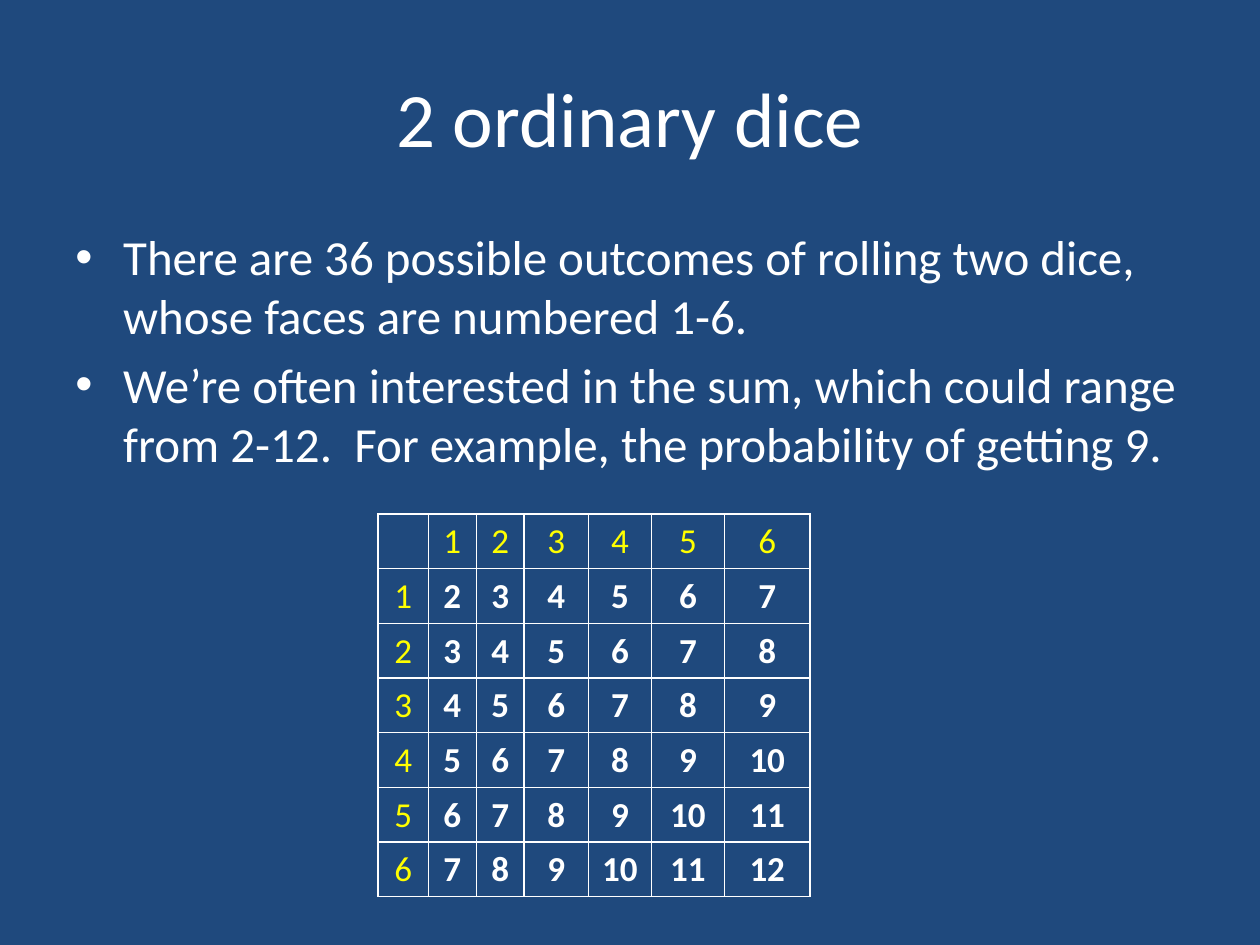
import dataclasses

import pptx
import pptx.dml.color
import pptx.enum.text
import pptx.oxml
import pptx.oxml.ns
import pptx.util
from pptx.util import Inches

RGB = pptx.dml.color.RGBColor.from_string
ALIGN = pptx.enum.text.PP_ALIGN
ANCHOR = pptx.enum.text.MSO_ANCHOR


@dataclasses.dataclass(frozen=True)
class Theme:
    font: str = "Calibri"
    back: str = "1F497D"
    text: str = "FFFFFF"
    label: str = "FFFF00"
    title: int = 44
    body: int = 28
    cell: int = 20


THEME = Theme()
POINTS = (
    "There are 36 possible outcomes of rolling two dice, whose faces are numbered 1-6.",
    "We’re often interested in the sum, which could range from 2-12.  "
    "For example, the probability of getting 9.",
)
WIDTHS = (0.4, 0.38, 0.38, 0.51, 0.5, 0.58, 0.68)
FACES = 6


def style(para, size, color=THEME.text, bold=False):
    font = para.font
    font.name = THEME.font
    font.size = pptx.util.Pt(size)
    font.bold = bold
    font.color.rgb = RGB(color)


def add_xml(parent, tag, body="", attrs=""):
    space = pptx.oxml.ns.nsdecls("a")
    parent.append(pptx.oxml.parse_xml(f"<a:{tag} {space} {attrs}>{body}</a:{tag}>"))


def set_title(slide, text):
    title = slide.shapes.title
    title.left, title.top = Inches(0.5), Inches(0.3)
    title.width, title.height = Inches(9), Inches(1.25)
    frame = title.text_frame
    frame.text = text
    frame.vertical_anchor = ANCHOR.MIDDLE
    para = frame.paragraphs[0]
    para.alignment = ALIGN.CENTER
    style(para, THEME.title)


def add_list(slide, points):
    box = slide.shapes.add_textbox(Inches(0.5), Inches(1.75), Inches(9), Inches(4.95))
    frame = box.text_frame
    frame.word_wrap = True
    frame.text = "\n".join(points)
    for i, para in enumerate(frame.paragraphs):
        props = para._p.get_or_add_pPr()
        props.set("marL", str(Inches(0.38)))
        props.set("indent", str(-Inches(0.38)))
        add_xml(props, "buFont", attrs='typeface="Arial"')
        add_xml(props, "buChar", attrs='char="•"')
        if i:
            para.space_before = pptx.util.Pt(THEME.body * 0.2)
        style(para, THEME.body)


def set_cell(cell, text, label):
    # Borders come before the fill in the cell properties
    props = cell._tc.get_or_add_tcPr()
    line = f'<a:solidFill><a:srgbClr val="{THEME.text}"/></a:solidFill>'
    for side in ("lnL", "lnR", "lnT", "lnB"):
        add_xml(props, side, line, f'w="{pptx.util.Pt(1)}"')
    cell.fill.background()
    cell.text = text
    para = cell.text_frame.paragraphs[0]
    para.alignment = ALIGN.CENTER
    style(para, THEME.cell, THEME.label if label else THEME.text, not label)


def add_sums(slide):
    count = FACES + 1
    frame = slide.shapes.add_table(
        count, count, Inches(3), Inches(4.08), Inches(sum(WIDTHS)), Inches(0.41 * count)
    )
    table = frame.table
    table.first_row = table.horz_banding = False
    for col, width in zip(table.columns, WIDTHS):
        col.width = Inches(width)
    # The edges hold the faces, the inside holds their sums
    for row in range(count):
        for col in range(count):
            text = str(row + col) if row + col else ""
            set_cell(table.cell(row, col), text, row == 0 or col == 0)


def main():
    deck = pptx.Presentation()
    deck.slide_width, deck.slide_height = Inches(10), Inches(7.5)
    slide = deck.slides.add_slide(deck.slide_layouts.get_by_name("Title Only"))
    fill = slide.background.fill
    fill.solid()
    fill.fore_color.rgb = RGB(THEME.back)
    set_title(slide, "2 ordinary dice")
    add_list(slide, POINTS)
    add_sums(slide)
    deck.save("out.pptx")


if __name__ == "__main__":
    main()
